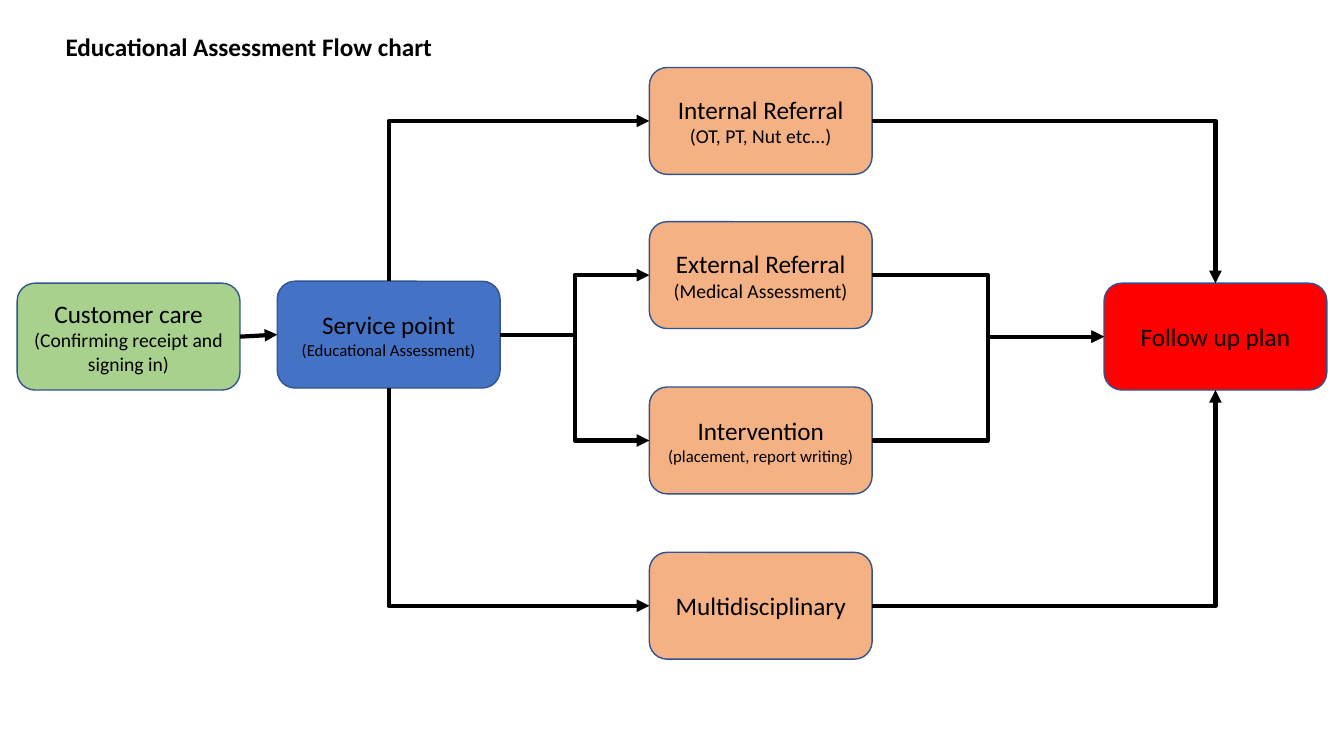
from pptx import Presentation
from pptx.util import Inches, Pt
from pptx.dml.color import RGBColor
from pptx.enum.shapes import MSO_SHAPE, MSO_CONNECTOR
from pptx.enum.text import PP_ALIGN, MSO_ANCHOR, MSO_AUTO_SIZE
from pptx.oxml.ns import qn
from lxml import etree

ROUND = MSO_SHAPE.ROUNDED_RECTANGLE
STRAIGHT, ELBOW = MSO_CONNECTOR.STRAIGHT, MSO_CONNECTOR.ELBOW
LEFT, CENTER = PP_ALIGN.LEFT, PP_ALIGN.CENTER
TOP, MIDDLE = MSO_ANCHOR.TOP, MSO_ANCHOR.MIDDLE
FIT = MSO_AUTO_SIZE.SHAPE_TO_FIT_TEXT


def color(hex):
    return RGBColor.from_string(hex)


def write(par, text, align, **style):
    par.alignment = align
    run = par.add_run()
    run.text = text
    for key, val in {"name": "Calibri", "size": Pt(18), **style}.items():
        setattr(run.font, key, val)
    run.font.color.rgb = color("000000")


deck = Presentation()
deck.slide_width, deck.slide_height = Inches(13.33), Inches(7.5)
slide = deck.slides.add_slide(deck.slide_layouts[5])

# Title
title = slide.shapes.title
for key, val in {"left": 0.55, "top": 0.26, "width": 4.12, "height": 0.4}.items():
    setattr(title, key, Inches(val))
frame = title.text_frame
for key, val in {"word_wrap": True, "auto_size": FIT, "vertical_anchor": TOP}.items():
    setattr(frame, key, val)
write(frame.paragraphs[0], "Educational Assessment Flow chart", LEFT, bold=True)

# Boxes: column, row, fill, heading, detail, detail size
WIDE, HIGH = 2.21, 1.06
COLS = {"care": 0.17, "point": 2.75, "step": 6.44, "plan": 10.95}
GREEN, BLUE, PEACH, RED = "A9D18E", "4472C4", "F4B183", "FF0000"
BOXES = {
    "care": ("care", 2.81, GREEN, "Customer care", "(Confirming receipt and signing in)", 14),
    "point": ("point", 2.79, BLUE, "Service point", "(Educational Assessment)", 12),
    "multi": ("step", 5.48, PEACH, "Multidisciplinary", "", 0),
    "inter": ("step", 3.84, PEACH, "Intervention", "(placement, report writing)", 12),
    "outer": ("step", 2.2, PEACH, "External Referral", "(Medical Assessment)", 14),
    "inner": ("step", 0.67, PEACH, "Internal Referral", "(OT, PT, Nut etc...)", 14),
    "plan": ("plan", 2.81, RED, "Follow up plan", "", 0),
}
nodes = {}
for name, (col, row, fill, head, note, size) in BOXES.items():
    box = slide.shapes.add_shape(
        ROUND, Inches(COLS[col]), Inches(row), Inches(WIDE), Inches(HIGH))
    box.shadow.inherit = False
    box.fill.solid()
    box.fill.fore_color.rgb = color(fill)
    box.line.color.rgb = color("325491")
    box.line.width = Pt(1)
    frame = box.text_frame
    frame.word_wrap, frame.vertical_anchor = True, MIDDLE
    write(frame.paragraphs[0], head, CENTER)
    if note:
        write(frame.add_paragraph(), note, CENTER, size=Pt(size))
    nodes[name] = box

# Arrows: start box and side, end box and side, bends
NORTH, WEST, SOUTH, EAST = range(4)
LINKS = [
    ("care", EAST, "point", WEST, 0),
    ("point", NORTH, "inner", WEST, 1),
    ("point", EAST, "outer", WEST, 2),
    ("point", EAST, "inter", WEST, 2),
    ("point", SOUTH, "multi", WEST, 1),
    ("inner", EAST, "plan", NORTH, 1),
    ("outer", EAST, "plan", WEST, 2),
    ("inter", EAST, "plan", WEST, 2),
    ("multi", EAST, "plan", SOUTH, 1),
]
# Turn and flips of a one-bend arrow that leaves up or down
TURNS = {
    NORTH: {"rot": "5400000", "flipH": "1", "flipV": "1"},
    SOUTH: {"rot": "16200000", "flipH": "1", "flipV": "0"},
}
for start, out, end, into, bends in LINKS:
    link = slide.shapes.add_connector(ELBOW if bends else STRAIGHT, 0, 0, 0, 0)
    link.begin_connect(nodes[start], out)
    link.end_connect(nodes[end], into)
    link.line.color.rgb = color("000000")
    link.line.width = Pt(3)
    props = link._element.spPr
    if bends == 1:
        props.find(qn("a:prstGeom")).set("prst", "bentConnector2")
    if out in TURNS:
        wide, high = link.width, link.height
        shift = (wide - high) // 2
        link.left, link.top = link.left + shift, link.top - shift
        link.width, link.height = high, wide
        for key, val in TURNS[out].items():
            props.find(qn("a:xfrm")).set(key, val)
    etree.SubElement(link.line._get_or_add_ln(), qn("a:tailEnd"), type="triangle")
    etree.SubElement(props, qn("a:effectLst"))

deck.save("out.pptx")
